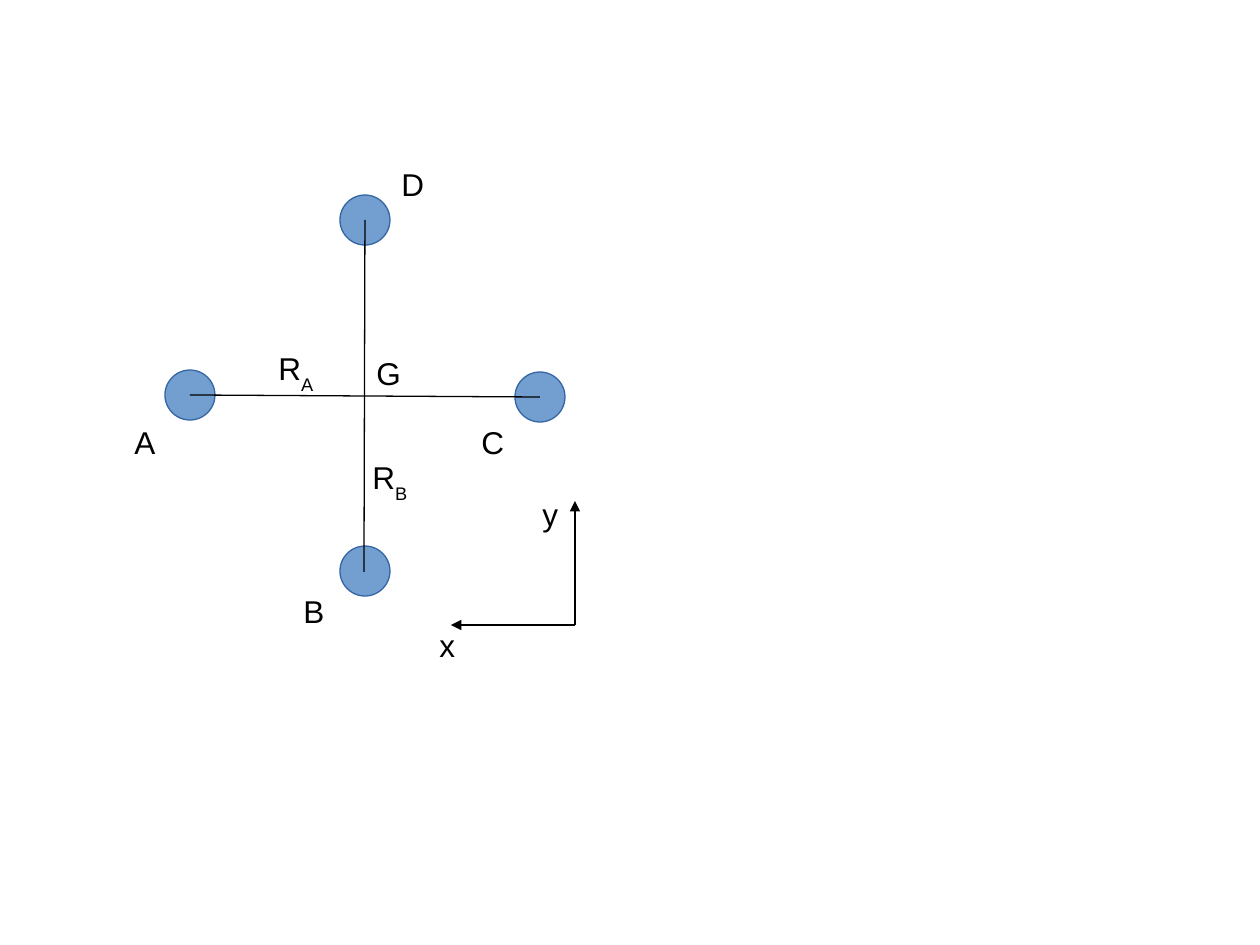
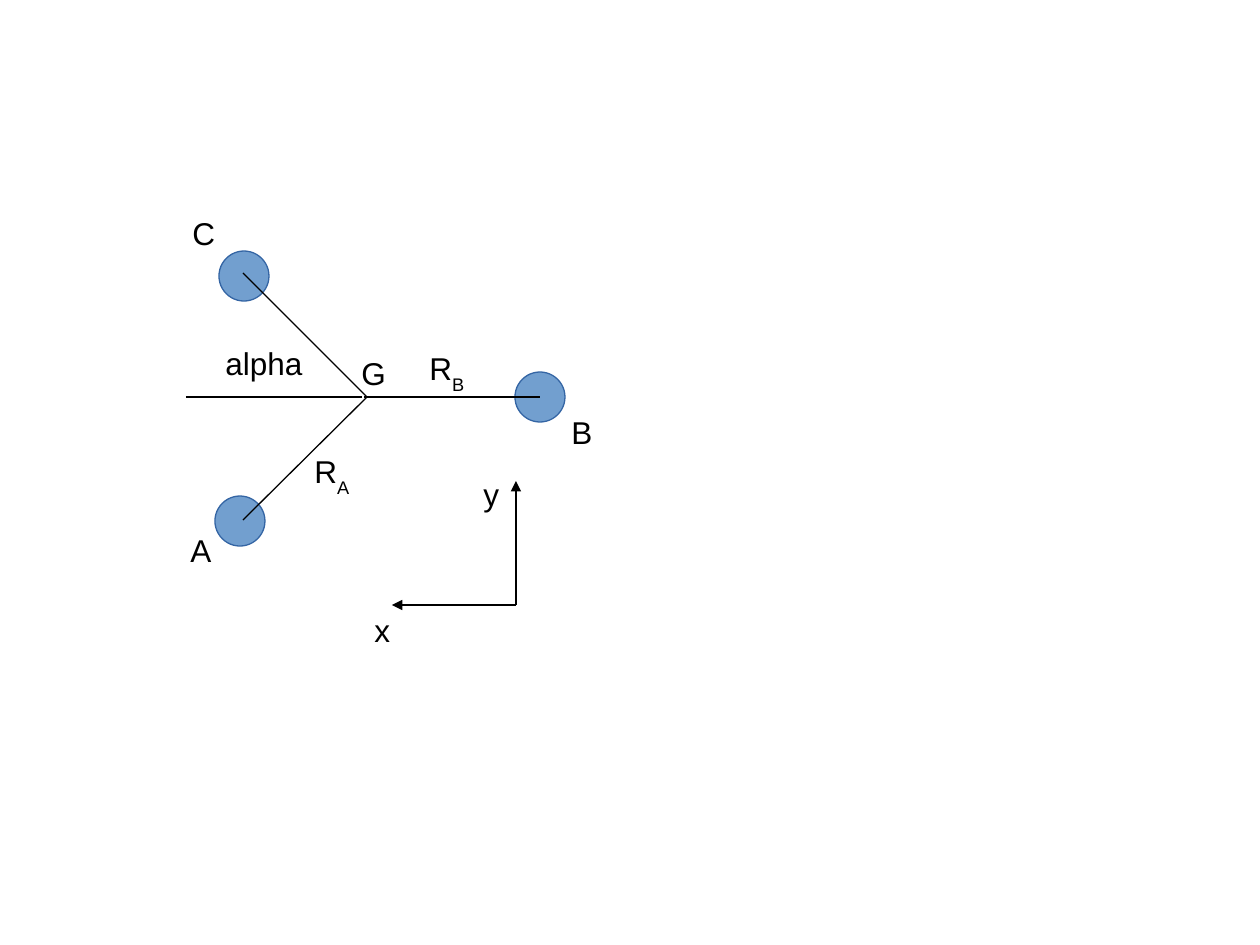
import pptx
import pptx.util
import pptx.dml.color
import pptx.enum.shapes
import pptx.enum.text
import pptx.oxml.ns
import lxml.etree

# Content, in px: masses by centre, rods by ends, labels by left and top
# A label is its text, an optional subscript, and its place
DIAGRAMS = [
    {
        "masses": [(540, 397), (365, 571), (365, 220), (190, 395)],
        "rods": [((190, 395), (540, 397)), ((364, 572), (365, 220))],
        "origin": (575, 625),
        "labels": [
            ("A", "", 122, 417), ("B", "", 291, 586),
            ("C", "", 469, 417), ("D", "", 389, 159),
            ("R", "A", 266, 343), ("R", "B", 360, 452),
            ("G", "", 364, 348), ("x", "", 427, 620), ("y", "", 530, 489),
        ],
    },
    {
        "masses": [(540, 397), (240, 521), (244, 276)],
        "rods": [
            ((243, 273), (367, 397)), ((243, 520), (367, 397)),
            ((364, 397), (540, 397)), ((186, 397), (362, 397)),
        ],
        "origin": (516, 605),
        "labels": [
            ("A", "", 178, 525), ("B", "", 559, 407), ("C", "", 180, 208),
            ("R", "A", 302, 446), ("R", "B", 417, 343),
            ("alpha", "", 213, 338), ("G", "", 349, 348),
            ("x", "", 362, 605), ("y", "", 471, 469),
        ],
    },
]

THEME = {
    "font": "Arial",
    "size": pptx.util.Pt(18),
    "ink": pptx.dml.color.RGBColor.from_string("000000"),
    "mass": pptx.dml.color.RGBColor.from_string("729FCF"),
    "edge": pptx.dml.color.RGBColor.from_string("3465A4"),
    "line": pptx.util.Pt(0.75),
    "subscript": "-33000",
}
PX = 914400 / 126
SLIDE_W, SLIDE_H = 1260, 945
MASS_D, MASS_TURN = 50, 315
AXIS = 124
LABEL_H = 47


def px(*lengths):
    return [pptx.util.Emu(round(n * PX)) for n in lengths]


def add_mass(s, x, y):
    box = px(x - MASS_D / 2, y - MASS_D / 2, MASS_D, MASS_D)
    sp = s.shapes.add_shape(pptx.enum.shapes.MSO_SHAPE.OVAL, *box)
    sp.rotation = MASS_TURN
    sp.shadow.inherit = False
    sp.fill.solid()
    sp.fill.fore_color.rgb = THEME["mass"]
    sp.line.color.rgb = THEME["edge"]
    sp.line.width = THEME["line"]


def add_line(s, start, end, arrow=False):
    straight = pptx.enum.shapes.MSO_CONNECTOR.STRAIGHT
    line = s.shapes.add_connector(straight, *px(*start, *end))
    line.line.color.rgb = THEME["ink"]
    line.line.width = THEME["line"]
    qn = pptx.oxml.ns.qn
    if arrow:
        ln = line.line._get_or_add_ln()
        lxml.etree.SubElement(ln, qn("a:tailEnd"), type="triangle")
    lxml.etree.SubElement(line._element.spPr, qn("a:effectLst"))


def add_label(s, text, sub, x, y):
    width = 118 if len(text) > 1 else 70 if sub else 48
    sp = s.shapes.add_textbox(*px(x, y, width, LABEL_H))
    tf = sp.text_frame
    tf.word_wrap = True
    p = tf.paragraphs[0]
    p.text = text
    if sub:
        r = p.add_run()
        r.text = sub
        r.font._element.set("baseline", THEME["subscript"])
    for r in p.runs:
        r.font.name = THEME["font"]
        r.font.size = THEME["size"]
        r.font.color.rgb = THEME["ink"]


def add_diagram(prs, diagram):
    s = prs.slides.add_slide(prs.slide_layouts[6])
    for centre in diagram["masses"]:
        add_mass(s, *centre)
    for start, end in diagram["rods"]:
        add_line(s, start, end)
    # Axes: y points up, x points left
    x, y = diagram["origin"]
    for tip in [(x, y - AXIS), (x - AXIS, y)]:
        add_line(s, (x, y), tip, arrow=True)
    for label in diagram["labels"]:
        add_label(s, *label)


def main():
    prs = pptx.Presentation()
    prs.slide_width, prs.slide_height = px(SLIDE_W, SLIDE_H)
    for diagram in DIAGRAMS:
        add_diagram(prs, diagram)
    prs.save("out.pptx")


if __name__ == "__main__":
    main()
